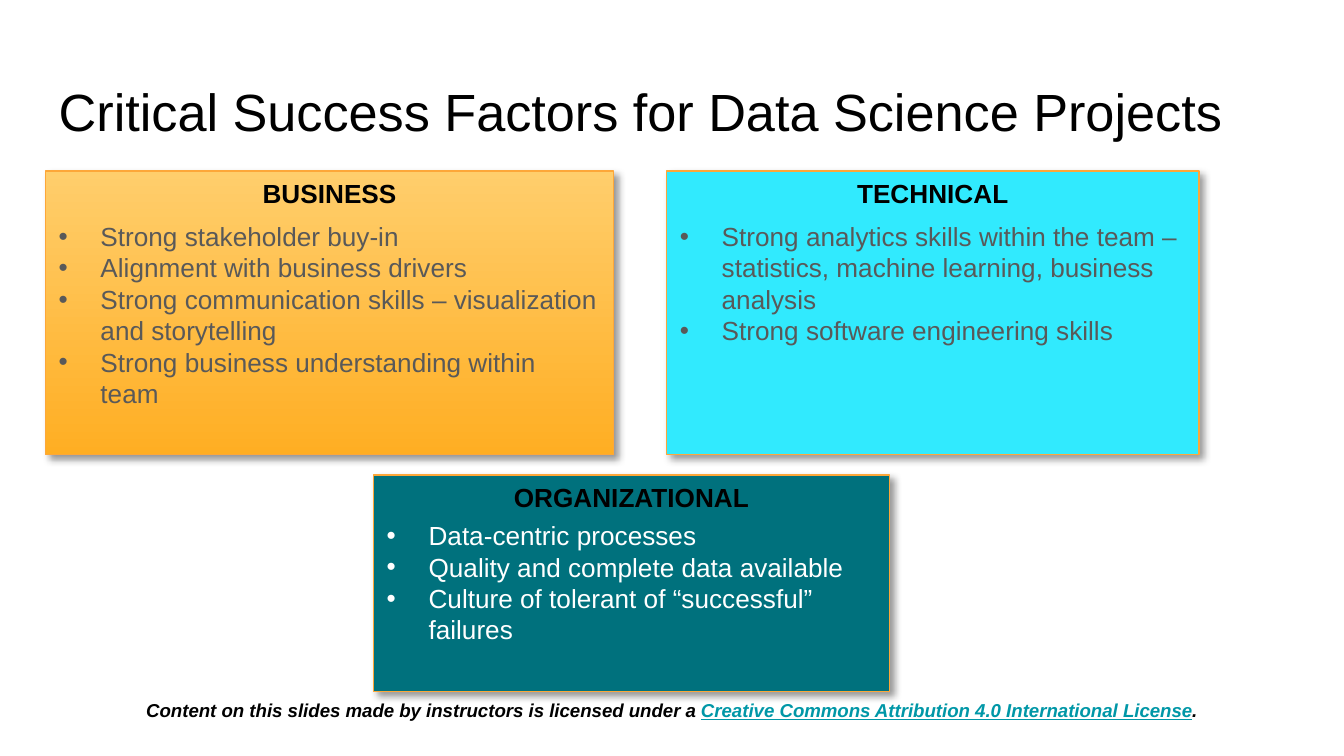
"""Build the slide on critical success factors for data science projects."""
from lxml import etree
from pptx import Presentation
from pptx.dml.color import RGBColor
from pptx.enum.shapes import MSO_SHAPE
from pptx.enum.text import MSO_ANCHOR, PP_ALIGN
from pptx.oxml.ns import qn
from pptx.util import Cm, Pt

RECT = MSO_SHAPE.RECTANGLE
TOP = MSO_ANCHOR.TOP
LEFT, CENTER = PP_ALIGN.LEFT, PP_ALIGN.CENTER

COLORS = {
    "black": "000000", "gray": "595959", "white": "FFFFFF", "link": "0097A7",
    "border": "FDA739", "amber": "FFAE23", "light_amber": "FFCE6C",
    "cyan": "31EAFE", "teal": "00717D",
}
FACTORS = [
    ("BUSINESS", (0.86, 3.23, 10.74, 5.36), ("amber", "light_amber"), "gray", 6,
     ["Strong stakeholder buy-in",
      "Alignment with business drivers",
      "Strong communication skills – visualization and storytelling",
      "Strong business understanding within team"]),
    ("TECHNICAL", (12.6, 3.23, 10.06, 5.36), ("cyan",), "gray", 6,
     ["Strong analytics skills within the team – statistics, machine learning, business analysis",
      "Strong software engineering skills"]),
    ("ORGANIZATIONAL", (7.06, 8.97, 9.75, 4.09), ("teal",), "white", 3.5,
     ["Data-centric processes",
      "Quality and complete data available",
      "Culture of tolerant of “successful” failures"]),
]
LICENSE = [
    ("Content on this slides made by instructors is licensed under a ", "black", False),
    ("Creative Commons Attribution 4.0 International License", "link", True),
    (".", "black", False),
]


def add_run(p, text, size, color, bold=False):
    r = p.add_run()
    r.text = text
    r.font.name = "Arial"
    r.font.size = Pt(size)
    r.font.bold = bold
    r.font.color.rgb = RGBColor.from_string(COLORS[color])
    return r


def set_frame(tf, margin_y):
    tf.word_wrap = True
    tf.vertical_anchor = TOP
    tf.margin_left = tf.margin_right = Cm(0.25)
    tf.margin_top = tf.margin_bottom = Cm(margin_y)


prs = Presentation()
prs.slide_width, prs.slide_height = Cm(25.4), Cm(14.28)
s = prs.slides.add_slide(prs.slide_layouts[5])

title = s.shapes.title
title.left, title.top, title.width, title.height = Cm(0.86), Cm(1.24), Cm(23.67), Cm(1.6)
set_frame(title.text_frame, 0.25)
p = title.text_frame.paragraphs[0]
p.alignment = LEFT
add_run(p, "Critical Success Factors for Data Science Projects", 28, "black")

footer = s.shapes.add_textbox(Cm(0.86), Cm(12.83), Cm(23.67), Cm(0.81))
set_frame(footer.text_frame, 0.25)
p = footer.text_frame.paragraphs[0]
p.alignment = CENTER
p.line_spacing = 1.3
for text, color, underline in LICENSE:
    r = add_run(p, text, 10, color, True)
    r.font.italic = True
    r.font.underline = underline

for heading, box, fills, text_color, gap, bullets in FACTORS:
    sp = s.shapes.add_shape(RECT, *(Cm(v) for v in box))
    sp.shadow.inherit = False
    if len(fills) > 1:
        sp.fill.gradient()
        sp.fill.gradient_angle = 90
        for stop, color in zip(sp.fill.gradient_stops, fills):
            stop.color.rgb = RGBColor.from_string(COLORS[color])
    else:
        sp.fill.solid()
        sp.fill.fore_color.rgb = RGBColor.from_string(COLORS[fills[0]])
    sp.line.color.rgb = RGBColor.from_string(COLORS["border"])
    sp.line.width = Pt(0.75)

    effects = sp.element.spPr.find(qn("a:effectLst"))
    shadow = etree.SubElement(effects, qn("a:outerShdw"), blurRad=str(Pt(4)),
                              dist=str(Pt(3)), dir="2700000", rotWithShape="0")
    shade = etree.SubElement(shadow, qn("a:srgbClr"), val=COLORS["black"])
    etree.SubElement(shade, qn("a:alpha"), val="40000")

    tf = sp.text_frame
    set_frame(tf, 0.13)
    p = tf.paragraphs[0]
    p.alignment = CENTER
    p.space_after = Pt(gap)
    add_run(p, heading, 14, "black", True)
    for text in bullets:
        p = tf.add_paragraph()
        p.alignment = LEFT
        pPr = p._p.get_or_add_pPr()
        pPr.set("marL", str(Cm(0.79)))
        pPr.set("indent", str(Cm(-0.79)))
        bullet_color = etree.SubElement(pPr, qn("a:buClr"))
        etree.SubElement(bullet_color, qn("a:srgbClr"), val=COLORS[text_color])
        etree.SubElement(pPr, qn("a:buFont"), typeface="Arial")
        etree.SubElement(pPr, qn("a:buChar"), char="•")
        add_run(p, text, 14, text_color)

prs.save("out.pptx")
